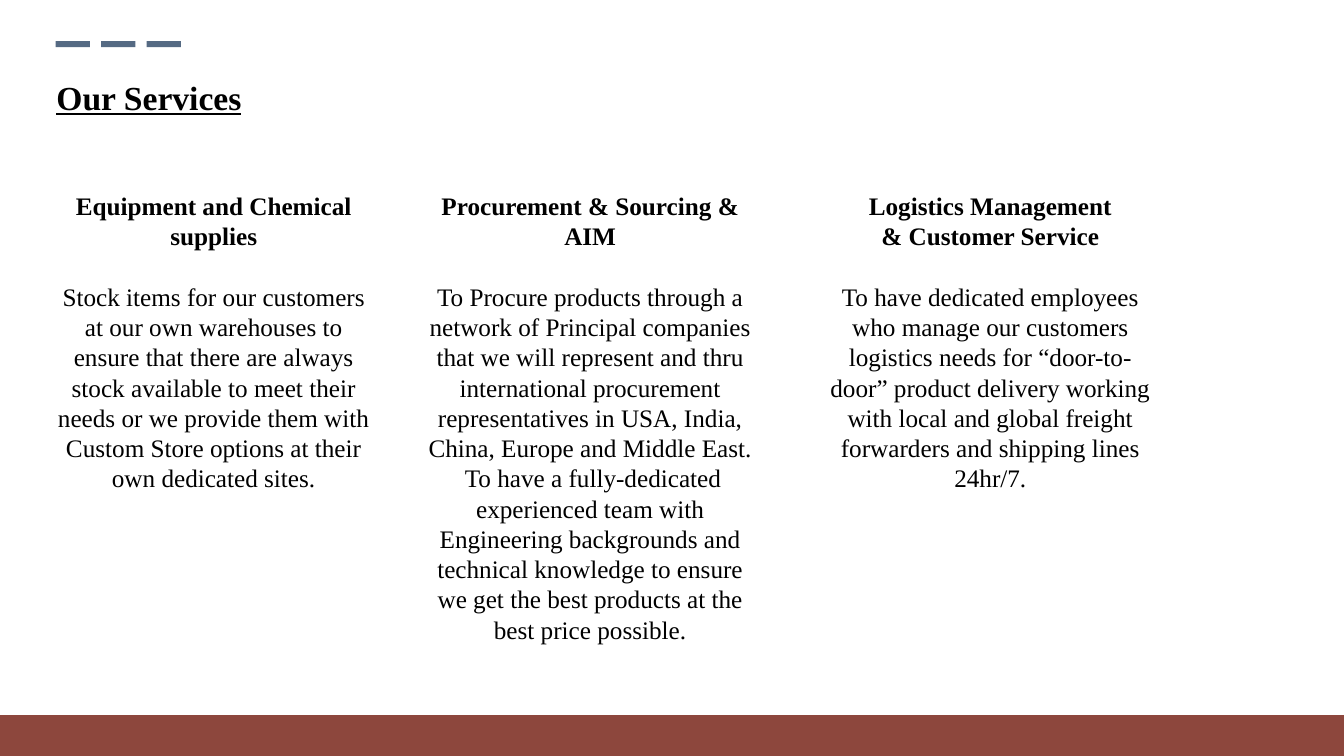
from lxml.etree import SubElement
from pptx import Presentation
from pptx.dml.color import RGBColor
from pptx.enum.shapes import MSO_SHAPE as SHAPE
from pptx.enum.text import MSO_ANCHOR as ANCHOR, MSO_AUTO_SIZE as AUTO, PP_ALIGN as ALIGN
from pptx.oxml.ns import qn
from pptx.util import Pt

COLORS = {"dash": "556A83", "band": "7F3126", "text": "000000"}
FONT = "Times New Roman"
LEADING = 1.2
BODY_SIZE = 18

# left, width, heading, description
SERVICES = [
    (33.12, 239.04, "Equipment and Chemical supplies",
     "Stock items for our customers at our own warehouses to ensure that there are "
     "always stock available to meet their needs or we provide them with Custom Store "
     "options at their own dedicated sites."),
    (298.08, 246.96, "Procurement & Sourcing & AIM",
     "To Procure products through a network of Principal companies that we will "
     "represent and thru international procurement representatives in USA, India, "
     "China, Europe and Middle East.  To have a fully-dedicated experienced team with "
     "Engineering backgrounds and technical knowledge to ensure we get the best "
     "products at the best price possible."),
    (583.92, 246.96, "Logistics Management\n& Customer Service",
     "To have dedicated employees who manage our customers logistics needs for "
     "“door-to-door” product delivery working with local and global freight "
     "forwarders and shipping lines 24hr/7."),
]


def place(sp, left, top, width, height):
    sp.left, sp.top, sp.width, sp.height = Pt(left), Pt(top), Pt(width), Pt(height)


def add_bar(s, left, top, width, height, color, opacity=100):
    sp = s.shapes.add_shape(SHAPE.RECTANGLE, Pt(left), Pt(top), Pt(width), Pt(height))
    sp.shadow.inherit = False
    sp.line.fill.background()
    sp.fill.solid()
    sp.fill.fore_color.rgb = RGBColor.from_string(COLORS[color])
    if opacity < 100:
        srgb = sp.fill._xPr.find(qn("a:solidFill")).find(qn("a:srgbClr"))
        SubElement(srgb, qn("a:alpha")).set("val", str(opacity * 1000))


def style(p, size, bold, align):
    p.alignment = align
    p.line_spacing = Pt(size * LEADING)
    p.font.name = FONT
    p.font.size = Pt(size)
    p.font.bold = bold
    p.font.color.rgb = RGBColor.from_string(COLORS["text"])


def set_title(s, text):
    sp = s.shapes.title
    place(sp, 33.12, 51.12, 442, 36)
    tf = sp.text_frame
    tf.auto_size = AUTO.NONE
    tf.vertical_anchor = ANCHOR.TOP
    p = tf.paragraphs[0]
    p.text = text
    style(p, 24, True, ALIGN.LEFT)
    p.font.underline = True


def add_service(s, left, width, heading, description):
    tf = s.shapes.add_textbox(Pt(left), Pt(132.48), Pt(width), Pt(356.4)).text_frame
    tf.word_wrap = True
    p = tf.paragraphs[0]
    p.text = heading
    style(p, BODY_SIZE, True, ALIGN.CENTER)
    p = tf.add_paragraph()
    p.text = description
    style(p, BODY_SIZE, False, ALIGN.CENTER)
    p.space_before = Pt(BODY_SIZE * LEADING)


def main():
    prs = Presentation()
    prs.slide_width, prs.slide_height = Pt(960), Pt(540)
    s = prs.slides.add_slide(prs.slide_layouts[5])

    # Dashes above the title and band at the foot
    for i in range(3):
        add_bar(s, 39.8 + 32.5 * i, 29.4, 24.5, 4.3, "dash")
    add_bar(s, 0, 510.9, 960, 29.1, "band", opacity=89)

    # Title and service columns
    set_title(s, "Our Services")
    for service in SERVICES:
        add_service(s, *service)

    prs.save("out.pptx")


if __name__ == "__main__":
    main()
